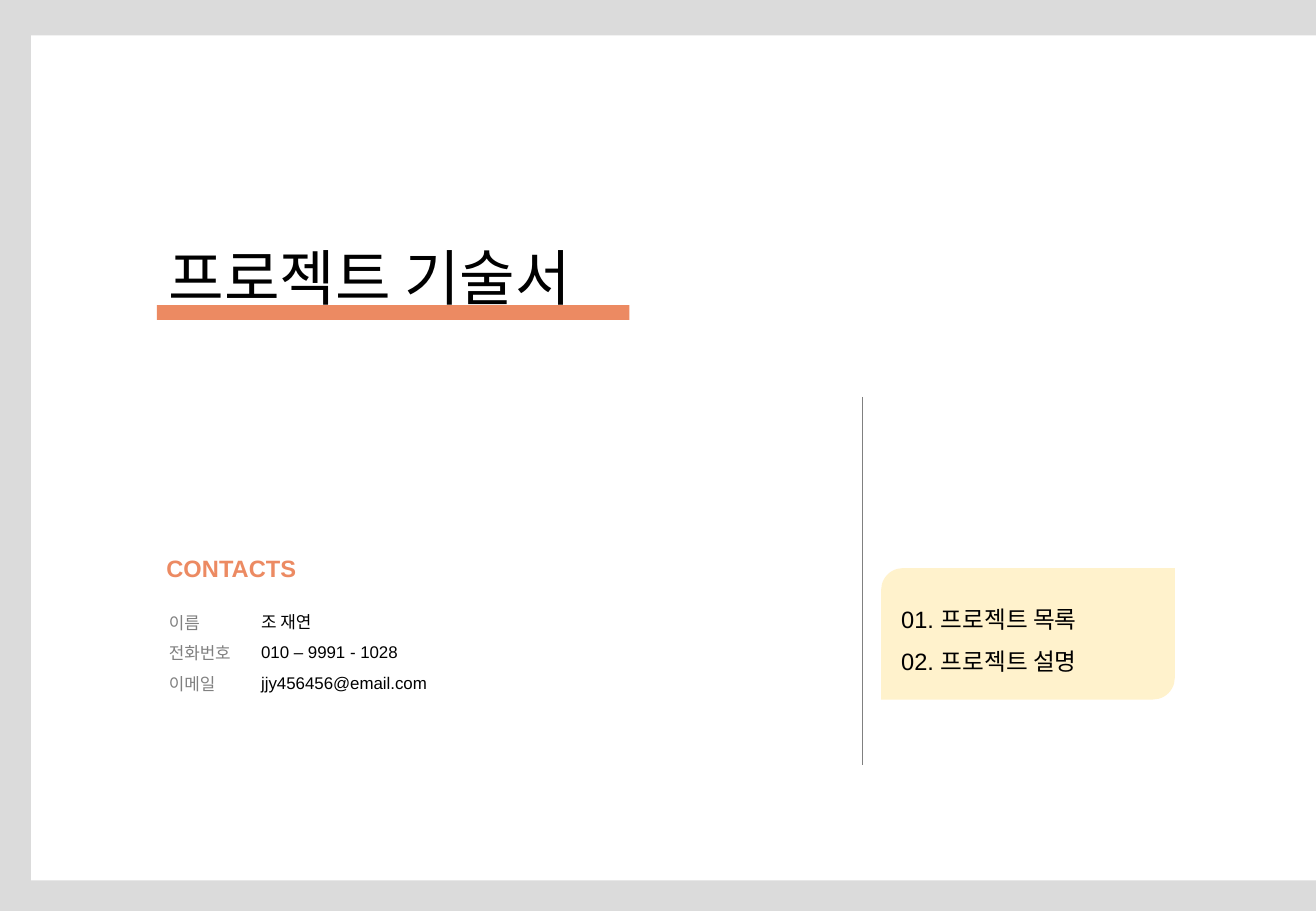
import pptx
import pptx.dml.color
import pptx.enum.shapes
import pptx.enum.text
import pptx.oxml
import pptx.util

Cm = pptx.util.Cm
Pt = pptx.util.Pt
KIND = pptx.enum.shapes.MSO_SHAPE
WIDTH, HEIGHT = 27.51, 19.05
ORANGE, GRAY, BLACK = "EC8A62", "808080", "000000"


def color(code):
    return pptx.dml.color.RGBColor.from_string(code)


def add_box(slide, kind, left, top, width, height, fill):
    box = slide.shapes.add_shape(kind, Cm(left), Cm(top), Cm(width), Cm(height))
    box.shadow.inherit = False
    box.fill.solid()
    box.fill.fore_color.rgb = color(fill)
    box.line.fill.background()


def add_text(slide, left, top, width, height, lines, size, ink, space=1.0, bold=False):
    """Add a text box with one paragraph for each line."""
    box = slide.shapes.add_textbox(Cm(left), Cm(top), Cm(width), Cm(height))
    frame = box.text_frame
    frame.word_wrap = True
    frame.auto_size = pptx.enum.text.MSO_AUTO_SIZE.SHAPE_TO_FIT_TEXT
    for index, line in enumerate(lines):
        para = frame.add_paragraph() if index else frame.paragraphs[0]
        para.line_spacing = space
        run = para.add_run()
        run.text = line
        run.font.name = "Arial"
        run.font.size = Pt(size)
        run.font.bold = bold
        run.font.color.rgb = color(ink)


def add_rule(slide, left, top, bottom):
    """Add a thin upright line without a shadow."""
    rule = slide.shapes.add_connector(
        pptx.enum.shapes.MSO_CONNECTOR.STRAIGHT, Cm(left), Cm(top), Cm(left), Cm(bottom))
    rule.line.color.rgb = color(GRAY)
    rule.line.width = Pt(0.5)
    props = rule.element.spPr
    props.append(props.makeelement(pptx.oxml.ns.qn("a:effectLst"), {}))


def main():
    deck = pptx.Presentation()
    deck.slide_width, deck.slide_height = Cm(WIDTH), Cm(HEIGHT)
    slide = deck.slides.add_slide(deck.slide_layouts[6])
    slide.background.fill.solid()
    slide.background.fill.fore_color.rgb = color("DBDBDB")

    add_box(slide, KIND.RECTANGLE, 0.65, 0.74, WIDTH - 0.65, 17.67, "FFFFFF")
    add_box(slide, KIND.ROUND_2_DIAG_RECTANGLE, 18.42, 11.88, 6.14, 2.75, "FFF2CC")
    add_box(slide, KIND.RECTANGLE, 3.28, 6.38, 9.88, 0.31, ORANGE)
    add_text(slide, 3.28, 4.9, 9.88, 1.78, ["프로젝트 기술서"], 35.8, BLACK)

    add_rule(slide, 18.02, 8.3, 16)
    add_text(slide, 18.59, 12.22, 5.79, 2.06,
             ["01. 프로젝트 목록", "02. 프로젝트 설명"], 14, BLACK, 1.5)

    add_text(slide, 3.23, 11.46, 5.82, 0.86, ["CONTACTS"], 14, ORANGE, bold=True)
    add_text(slide, 3.28, 12.47, 2.44, 2.69, ["이름", "전화번호", "이메일"], 10, GRAY, 1.5)
    add_text(slide, 5.21, 12.45, 5.41, 2.18,
             ["조 재연", "010 – 9991 - 1028", "jjy456456@email.com"], 10, BLACK, 1.5)

    deck.save("out.pptx")


if __name__ == "__main__":
    main()
